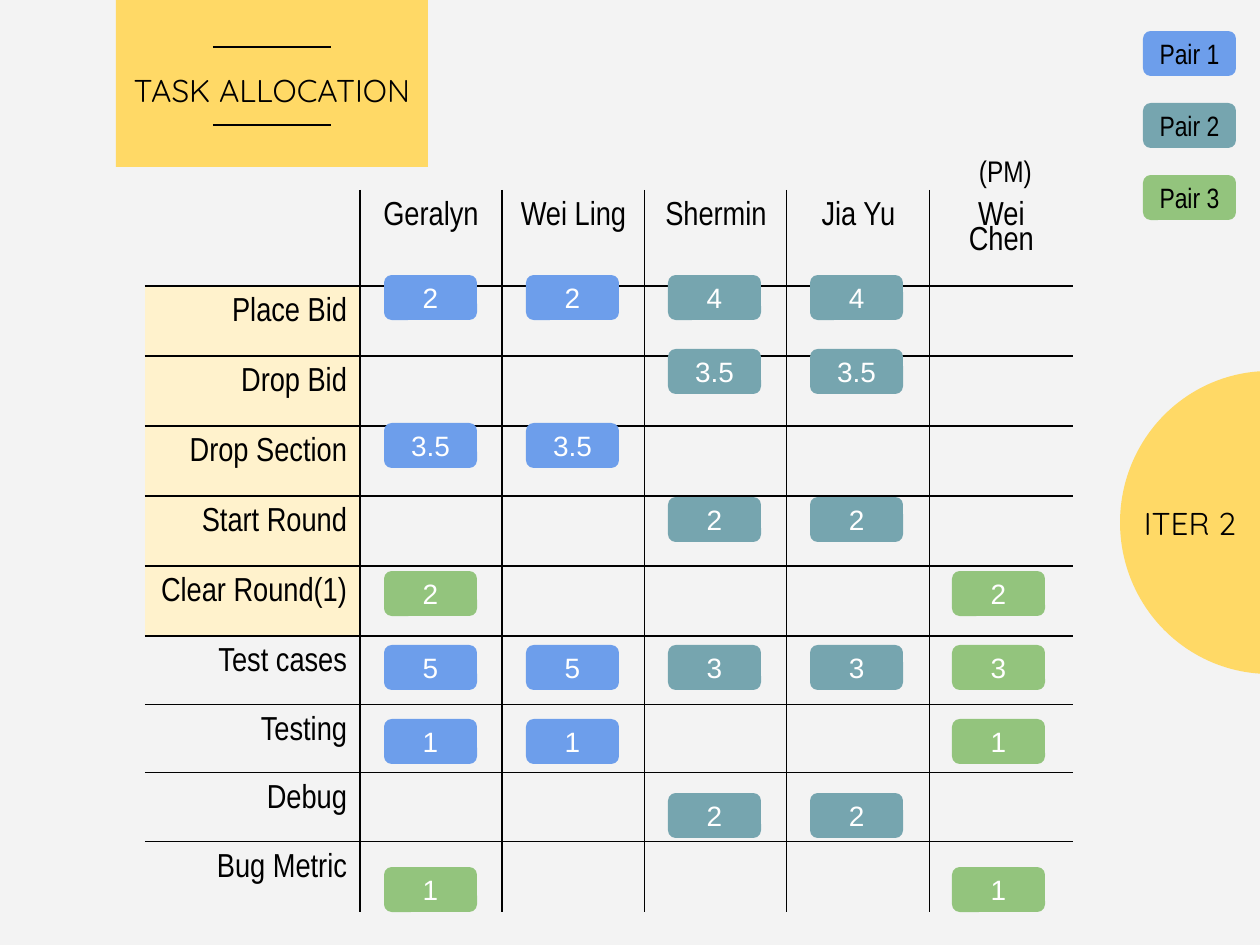
"""Build the task allocation slide for iteration 2."""
from lxml import etree
from pptx import Presentation
from pptx.dml.color import RGBColor
from pptx.enum.shapes import MSO_CONNECTOR, MSO_SHAPE
from pptx.enum.text import MSO_ANCHOR, MSO_AUTO_SIZE, PP_ALIGN
from pptx.oxml.ns import qn
from pptx.util import Pt

LEFT, CENTER, RIGHT = PP_ALIGN.LEFT, PP_ALIGN.CENTER, PP_ALIGN.RIGHT
TOP, MIDDLE, BOTTOM = MSO_ANCHOR.TOP, MSO_ANCHOR.MIDDLE, MSO_ANCHOR.BOTTOM
RECT, ROUND, OVAL = MSO_SHAPE.RECTANGLE, MSO_SHAPE.ROUNDED_RECTANGLE, MSO_SHAPE.OVAL
STRAIGHT = MSO_CONNECTOR.STRAIGHT
NO_AUTOFIT = MSO_AUTO_SIZE.NONE

MEMBERS = ["Geralyn", "Wei Ling", "Shermin", "Jia Yu", "Wei Chen"]
PAIRS = ["Pair 1", "Pair 2", "Pair 3"]
TASKS = [
    ("Place Bid", {0: ("2", 0), 1: ("2", 0), 2: ("4", 1), 3: ("4", 1)}),
    ("Drop Bid", {2: ("3.5", 1), 3: ("3.5", 1)}),
    ("Drop Section", {0: ("3.5", 0), 1: ("3.5", 0)}),
    ("Start Round", {2: ("2", 1), 3: ("2", 1)}),
    ("Clear Round(1)", {0: ("2", 2), 4: ("2", 2)}),
    ("Test cases", {0: ("5", 0), 1: ("5", 0), 2: ("3", 1), 3: ("3", 1), 4: ("3", 2)}),
    ("Testing", {0: ("1", 0), 1: ("1", 0), 4: ("1", 2)}),
    ("Debug", {2: ("2", 1), 3: ("2", 1)}),
    ("Bug Metric", {0: ("1", 2), 4: ("1", 2)}),
]
FEATURE_COUNT = 5
COL_EDGES = [145, 360, 502, 645, 787, 930, 1073]
ROW_EDGES = [190, 286, 356, 426, 496, 566, 636, 705, 773, 842, 912]
BADGE_X, BADGE_Y, STEP_X, STEP_Y = 384, 275, 142, 74
BADGE_W, BADGE_H = 93, 45
LEGEND_X, LEGEND_Y, LEGEND_STEP = 1143, 31, 72

THEME = {
    "bg": "F3F3F3", "accent": "FFD966", "feature": "FFF2CC",
    "ink": "000000", "badge_ink": "FFFFFF",
    "pairs": ["6D9EEB", "76A5AF", "93C47D"],
    "heading": "Quicksand", "label": "Arial Narrow", "number": "Arial",
    "heading_pt": 18, "table_pt": 19, "badge_pt": 16, "role_pt": 17, "line_pt": 0.75,
}
NO_STYLE = "{2D5ABB26-0587-4C30-8999-92F81FD0307C}"


def px(n):
    return n * 914400 // 126


def rgb(name):
    return RGBColor.from_string(name)


def write(tf, text, font, size, color, align=CENTER):
    tf.text = text
    p = tf.paragraphs[0]
    p.alignment = align
    f = p.runs[0].font
    f.name, f.size, f.color.rgb = font, Pt(size), rgb(color)
    return p


def frame(sp, anchor):
    tf = sp.text_frame
    tf.word_wrap, tf.auto_size, tf.vertical_anchor = True, NO_AUTOFIT, anchor
    tf.margin_left = tf.margin_right = tf.margin_top = tf.margin_bottom = px(13)
    return tf


def add_block(shapes, kind, box, color):
    sp = shapes.add_shape(kind, *map(px, box))
    sp.shadow.inherit = False
    sp.fill.solid()
    sp.fill.fore_color.rgb = rgb(color)
    sp.line.fill.background()
    return sp


def add_badge(shapes, x, y, text, pair, font, ink):
    sp = add_block(shapes, ROUND, (x, y, BADGE_W, BADGE_H), THEME["pairs"][pair])
    sp.adjustments[0] = 0.17
    write(frame(sp, MIDDLE), text, font, THEME["badge_pt"], ink)


def add_text(shapes, box, text, font, size, anchor, align):
    sp = shapes.add_textbox(*map(px, box))
    write(frame(sp, anchor), text, font, size, THEME["ink"], align)


def add_rule(shapes, x1, x2, y):
    line = shapes.add_connector(STRAIGHT, px(x1), px(y), px(x2), px(y))
    line.line.color.rgb = rgb(THEME["ink"])
    line.line.width = Pt(THEME["line_pt"])
    etree.SubElement(line._element.spPr, qn("a:effectLst"))


def set_borders(cell, sides):
    tc_pr = cell._tc.get_or_add_tcPr()
    for side, shown in sides:
        ln = etree.SubElement(tc_pr, qn("a:ln" + side), w=str(Pt(THEME["line_pt"])))
        if shown:
            fill = etree.SubElement(ln, qn("a:solidFill"))
            etree.SubElement(fill, qn("a:srgbClr"), val=THEME["ink"])
        else:
            etree.SubElement(ln, qn("a:noFill"))


def add_task_table(shapes):
    rows = [[""] + MEMBERS] + [[task] + [""] * len(MEMBERS) for task, _ in TASKS]
    n_rows, n_cols = len(rows), len(rows[0])
    x, y = COL_EDGES[0], ROW_EDGES[0]
    table = shapes.add_table(n_rows, n_cols, px(x), px(y),
                             px(COL_EDGES[-1] - x), px(ROW_EDGES[-1] - y)).table
    table.first_row = table.horz_banding = False
    table._tbl.tblPr.find(qn("a:tableStyleId")).text = NO_STYLE
    for c, col in enumerate(table.columns):
        col.width = px(COL_EDGES[c + 1] - COL_EDGES[c])
    for r, row in enumerate(table.rows):
        row.height = px(ROW_EDGES[r + 1] - ROW_EDGES[r])
        for c, text in enumerate(rows[r]):
            cell = table.cell(r, c)
            cell.margin_left = cell.margin_right = px(13)
            cell.margin_top, cell.margin_bottom = px(16), px(10)
            set_borders(cell, [("L", c > 0), ("R", c < n_cols - 1),
                               ("T", r > 0), ("B", r < n_rows - 1)])
            if c == 0 and 0 < r <= FEATURE_COUNT:
                cell.fill.solid()
                cell.fill.fore_color.rgb = rgb(THEME["feature"])
            else:
                cell.fill.background()
            if text:
                p = write(cell.text_frame, text, THEME["label"], THEME["table_pt"],
                          THEME["ink"], CENTER if r == 0 else RIGHT)
                p.line_spacing = 0.8


def main():
    prs = Presentation()
    prs.slide_width, prs.slide_height = px(1260), px(945)
    s = prs.slides.add_slide(prs.slide_layouts[5])
    s.background.fill.solid()
    s.background.fill.fore_color.rgb = rgb(THEME["bg"])
    shapes = s.shapes

    add_block(shapes, OVAL, (1120, 371, 299, 303), THEME["accent"])
    add_block(shapes, RECT, (116, -262, 312, 429), THEME["accent"])
    for y in (47, 125):
        add_rule(shapes, 213, 331, y)
    add_task_table(shapes)
    for r, (_, hours) in enumerate(TASKS):
        for c, (text, pair) in hours.items():
            add_badge(shapes, BADGE_X + c * STEP_X, BADGE_Y + r * STEP_Y, text, pair,
                      THEME["number"], THEME["badge_ink"])
    for i, name in enumerate(PAIRS):
        add_badge(shapes, LEGEND_X, LEGEND_Y + i * LEGEND_STEP, name, i,
                  THEME["label"], THEME["ink"])
    add_text(shapes, (966, 140, 93, 45), "(PM)", THEME["label"], THEME["role_pt"], TOP, LEFT)
    add_text(shapes, (1110, 276, 160, 493), "ITER 2", THEME["heading"],
             THEME["heading_pt"], MIDDLE, CENTER)

    title = shapes.title
    title.left, title.top, title.width, title.height = map(px, (116, 50, 312, 72))
    write(frame(title, BOTTOM), "TASK ALLOCATION", THEME["heading"],
          THEME["heading_pt"], THEME["ink"])
    shapes._spTree.append(title._element)
    prs.save("out.pptx")


if __name__ == "__main__":
    main()
